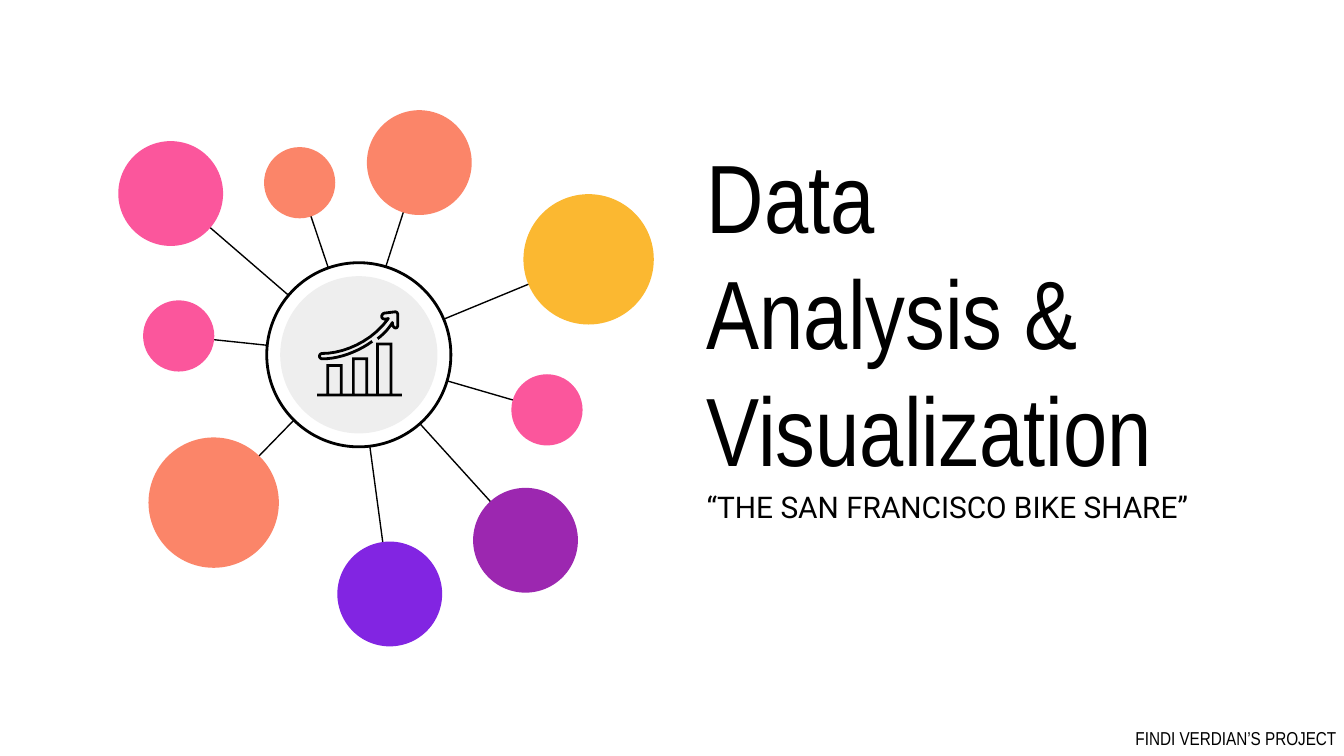
from dataclasses import dataclass

from lxml import etree
from pptx import Presentation
from pptx.dml.color import RGBColor
from pptx.enum import shapes, text
from pptx.oxml import ns
from pptx.util import Inches, Pt


@dataclass(frozen=True)
class Theme:
    ink: str = "000000"
    white: str = "FFFFFF"
    gray: str = "EEEEEE"
    yellow: str = "FBB831"
    coral: str = "FB8569"
    pink: str = "FB569C"
    purple: str = "9C27B0"
    violet: str = "8225E2"
    narrow: str = "Arial Narrow"
    sans: str = "Roboto"
    title_size: float = 52
    subtitle_size: float = 16
    footer_size: float = 10
    spoke_width: float = 0.75
    outline_width: float = 1.5


THEME = Theme()
LARGE, MEDIUM, SMALL = 0.97, 0.78, 0.53
HUB = (2.66, 2.64)
SATELLITES = [
    (4.38, 1.93, LARGE, THEME.yellow),
    (1.59, 3.74, LARGE, THEME.coral),
    (3.12, 1.21, MEDIUM, THEME.coral),
    (1.27, 1.44, MEDIUM, THEME.pink),
    (3.91, 4.02, MEDIUM, THEME.purple),
    (2.90, 4.42, MEDIUM, THEME.violet),
    (1.33, 2.50, SMALL, THEME.pink),
    (4.07, 3.05, SMALL, THEME.pink),
    (2.23, 1.36, SMALL, THEME.coral),
]
ICON_LEFT, ICON_RIGHT, ICON_BASE, STROKE = 2.36, 2.99, 2.95, 0.02
BARS = [(2.43, 2.71), (2.62, 2.66), (2.80, 2.55)]
BAR_WIDTH = 0.12


def color(value):
    return RGBColor.from_string(value)


def add_circle(page, center, diameter, fill, outlined=False):
    left, top = (Inches(value - diameter / 2) for value in center)
    circle = page.shapes.add_shape(
        shapes.MSO_SHAPE.OVAL, left, top, Inches(diameter), Inches(diameter))
    circle.shadow.inherit = False
    circle.fill.solid()
    circle.fill.fore_color.rgb = color(fill)
    if outlined:
        circle.line.color.rgb = color(THEME.ink)
        circle.line.width = Pt(THEME.outline_width)
    else:
        circle.line.fill.background()


def add_spoke(page, start):
    spoke = page.shapes.add_connector(
        shapes.MSO_CONNECTOR.STRAIGHT, *(Inches(value) for value in start + HUB))
    spoke.line.color.rgb = color(THEME.ink)
    spoke.line.width = Pt(THEME.spoke_width)
    etree.SubElement(spoke._element.spPr, ns.qn("a:effectLst"))


def add_outline(page, contours, close):
    builder = None
    for contour in contours:
        first, *rest = [(Inches(x), Inches(y)) for x, y in contour]
        if builder is None:
            builder = page.shapes.build_freeform(*first)
        else:
            builder.move_to(*first)
        builder.add_line_segments(rest, close=close)
    outline = builder.convert_to_shape()
    outline.shadow.inherit = False
    return outline


def curve(start, control_a, control_b, end, steps=10):
    points = []
    for step in range(steps + 1):
        t = step / steps
        weights = ((1 - t) ** 3, 3 * t * (1 - t) ** 2, 3 * t * t * (1 - t), t ** 3)
        corners = (start, control_a, control_b, end)
        points.append(tuple(
            sum(weight * corner[axis] for weight, corner in zip(weights, corners))
            for axis in (0, 1)))
    return points


def add_bar_icon(page):
    floor = ICON_BASE - STROKE
    skyline = [(ICON_LEFT, ICON_BASE), (ICON_LEFT, floor)]
    holes = []
    for left, top in BARS:
        right = left + BAR_WIDTH
        skyline += [(left, floor), (left, top), (right, top), (right, floor)]
        inner_left, inner_right = left + STROKE, right - STROKE
        inner_top = top + STROKE
        holes.append([(inner_left, inner_top), (inner_left, floor),
                      (inner_right, floor), (inner_right, inner_top)])
    skyline += [(ICON_RIGHT, floor), (ICON_RIGHT, ICON_BASE)]
    bars = add_outline(page, [skyline] + holes, close=True)
    bars.fill.solid()
    bars.fill.fore_color.rgb = color(THEME.ink)
    bars.line.fill.background()


def add_arrow_icon(page):
    tail = (
        curve((2.77, 2.54), (2.66, 2.62), (2.52, 2.67), (2.40, 2.67))
        + curve((2.40, 2.67), (2.37, 2.67), (2.37, 2.63), (2.40, 2.63))
        + curve((2.40, 2.63), (2.55, 2.63), (2.76, 2.55), (2.89, 2.37)))
    head = (
        curve((2.89, 2.37), (2.83, 2.39), (2.83, 2.34), (2.86, 2.33))
        + curve((2.94, 2.32), (2.95, 2.32), (2.96, 2.33), (2.96, 2.34))
        + curve((2.96, 2.42), (2.96, 2.45), (2.92, 2.45), (2.92, 2.40))
        + curve((2.92, 2.40), (2.89, 2.45), (2.85, 2.49), (2.81, 2.52)))
    arrow = add_outline(page, [tail + head], close=False)
    arrow.fill.background()
    arrow.line.color.rgb = color(THEME.ink)
    arrow.line.width = Pt(THEME.outline_width)


def add_text(page, wording, place, font, size, inset=0.1, right_inset=0.1):
    box = page.shapes.add_textbox(*(Inches(value) for value in place))
    frame = box.text_frame
    frame.word_wrap = True
    frame.vertical_anchor = text.MSO_ANCHOR.MIDDLE
    frame.margin_top = frame.margin_bottom = Inches(inset)
    frame.margin_left, frame.margin_right = Inches(0.1), Inches(right_inset)
    para = frame.paragraphs[0]
    para.text = wording
    para.font.name = font
    para.font.size = Pt(size)
    para.font.color.rgb = color(THEME.ink)


def main():
    deck = Presentation()
    deck.slide_width, deck.slide_height = Inches(10), Inches(45 / 8)
    page = deck.slides.add_slide(deck.slide_layouts[6])

    add_text(page, "Data Analysis & Visualization", (5.16, 1.13, 3.76, 2.37),
             THEME.narrow, THEME.title_size)
    add_text(page, "“THE SAN FRANCISCO BIKE SHARE”", (5.16, 3.54, 4.31, 0.46),
             THEME.sans, THEME.subtitle_size)

    for x, y, diameter, fill in SATELLITES:
        add_spoke(page, (x, y))
        add_circle(page, (x, y), diameter, fill)
    hub_face = (2.67, 2.64)
    add_circle(page, hub_face, 1.37, THEME.white, outlined=True)
    add_circle(page, hub_face, 1.17, THEME.gray)
    add_bar_icon(page)
    add_arrow_icon(page)

    add_text(page, "FINDI VERDIAN’S PROJECT", (8.35, 5.36, 1.65, 0.27),
             THEME.narrow, THEME.footer_size, inset=0.05, right_inset=0)
    deck.save("out.pptx")


if __name__ == "__main__":
    main()
